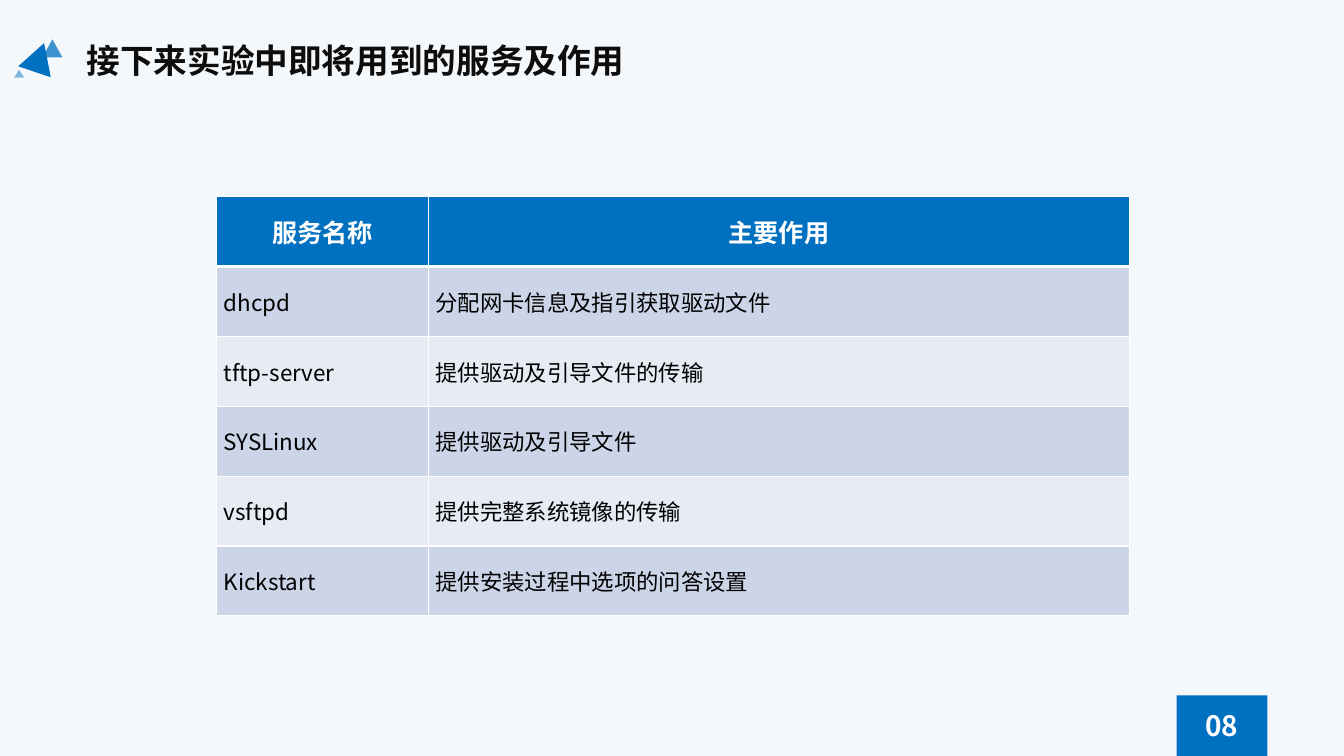
import pptx
import pptx.util
import pptx.dml.color
import pptx.enum.shapes
import pptx.enum.text
import pptx.oxml
import pptx.oxml.ns
from dataclasses import dataclass

Inches = pptx.util.Inches
Align = pptx.enum.text.PP_ALIGN
Anchor = pptx.enum.text.MSO_ANCHOR
Preset = pptx.enum.shapes.MSO_SHAPE


@dataclass(frozen=True)
class Theme:
    font: str = "Noto Sans CJK SC"
    background: str = "F5F8FB"
    blue: str = "0070C0"
    white: str = "FFFFFF"
    title_ink: str = "0D0D0D"
    body_ink: str = "000000"
    bands: tuple = ("CCD5E8", "E7EBF4")
    title_size: int = 24
    number_size: int = 20
    header_size: int = 18
    body_size: int = 16


THEME = Theme()
TITLE = "接下来实验中即将用到的服务及作用"
HEADER = ("服务名称", "主要作用")
SERVICES = (
    ("dhcpd", "分配网卡信息及指引获取驱动文件"),
    ("tftp-server", "提供驱动及引导文件的传输"),
    ("SYSLinux", "提供驱动及引导文件"),
    ("vsftpd", "提供完整系统镜像的传输"),
    ("Kickstart", "提供安装过程中选项的问答设置"),
)
# left, top, width, height, rotation, opacity in percent
TRIANGLES = (
    (0.42, 0.39, 0.2, 0.18, 0, 75),
    (0.22, 0.42, 0.34, 0.3, 18.5, 100),
    (0.14, 0.69, 0.1, 0.08, 0, 47),
)


def rgb(code):
    return pptx.dml.color.RGBColor.from_string(code)


def drawing_element(markup):
    return pptx.oxml.parse_xml(markup.replace(" ", f" {pptx.oxml.ns.nsdecls('a')} ", 1))


def write(para, text, size, color, bold=False, align=Align.LEFT):
    para.alignment = align
    span = para.add_run()
    span.text = text
    span.font.size = pptx.util.Pt(size)
    span.font.bold = bold
    span.font.color.rgb = rgb(color)
    span.font.name = THEME.font
    span.font.latin = None
    properties = span._r.get_or_add_rPr()
    properties.append(drawing_element(f'<a:ea typeface="{THEME.font}"/>'))


def add_title(page):
    title = page.shapes.title
    title.left, title.top = Inches(0.76), Inches(0.35)
    title.width, title.height = Inches(5.77), Inches(0.5)
    frame = title.text_frame
    frame.auto_size = pptx.enum.text.MSO_AUTO_SIZE.NONE
    frame.word_wrap = False
    frame.vertical_anchor = Anchor.MIDDLE
    para = frame.paragraphs[0]
    para.line_spacing = 1.0
    write(para, TITLE, THEME.title_size, THEME.title_ink, bold=True)


def add_solid(page, preset, left, top, width, height, rotation=0, opacity=100):
    shape = page.shapes.add_shape(
        preset, Inches(left), Inches(top), Inches(width), Inches(height))
    shape.shadow.inherit = False
    shape.rotation = rotation
    shape.fill.solid()
    shape.fill.fore_color.rgb = rgb(THEME.blue)
    shape.line.fill.background()
    if opacity < 100:
        color = shape._element.spPr.find(".//" + pptx.oxml.ns.qn("a:srgbClr"))
        color.append(drawing_element(f'<a:alpha val="{opacity * 1000}"/>'))
    return shape


def add_page_number(page, number):
    tab = add_solid(page, Preset.RECTANGLE, 11.67, 6.9, 0.9, 0.6)
    frame = tab.text_frame
    frame.vertical_anchor = Anchor.MIDDLE
    write(frame.paragraphs[0], number, THEME.number_size, THEME.white,
          bold=True, align=Align.CENTER)


def set_borders(cell, top, bottom):
    """Draw white cell edges; widths are in points."""
    properties = cell._tc.get_or_add_tcPr()
    edges = (("lnL", 1), ("lnR", 1), ("lnT", top), ("lnB", bottom))
    for position, (edge, width) in enumerate(edges):
        properties.insert(position, drawing_element(
            f'<a:{edge} w="{pptx.util.Pt(width)}"><a:solidFill>'
            f'<a:srgbClr val="{THEME.white}"/></a:solidFill></a:{edge}>'))


def add_service_table(page):
    rows = (HEADER, *SERVICES)
    frame = page.shapes.add_table(
        len(rows), len(HEADER), Inches(2.15), Inches(1.95), Inches(9.05), Inches(4.16))
    table = frame.table
    for column, width in zip(table.columns, (2.1, 6.95)):
        column.width = Inches(width)
    for index, texts in enumerate(rows):
        header = index == 0
        fill = THEME.blue if header else THEME.bands[(index - 1) % 2]
        for column, text in enumerate(texts):
            cell = table.cell(index, column)
            cell.fill.solid()
            cell.fill.fore_color.rgb = rgb(fill)
            set_borders(cell, top=3 if index == 1 else 1, bottom=3 if header else 1)
            cell.margin_left = cell.margin_right = Inches(0.07)
            cell.margin_top = cell.margin_bottom = 0
            cell.vertical_anchor = Anchor.MIDDLE
            para = cell.text_frame.paragraphs[0]
            if header:
                write(para, text, THEME.header_size, THEME.white, True, Align.CENTER)
            else:
                write(para, text, THEME.body_size, THEME.body_ink, align=Align.JUSTIFY)


def main():
    deck = pptx.Presentation()
    deck.slide_width, deck.slide_height = Inches(13.33), Inches(7.5)
    page = deck.slides.add_slide(deck.slide_layouts[5])
    page.background.fill.solid()
    page.background.fill.fore_color.rgb = rgb(THEME.background)

    # Heading with its triangle ornament
    add_title(page)
    for triangle in TRIANGLES:
        add_solid(page, Preset.ISOSCELES_TRIANGLE, *triangle)

    # Page number tab
    add_page_number(page, "08")

    # Services and what they do
    add_service_table(page)

    deck.save("out.pptx")


if __name__ == "__main__":
    main()
